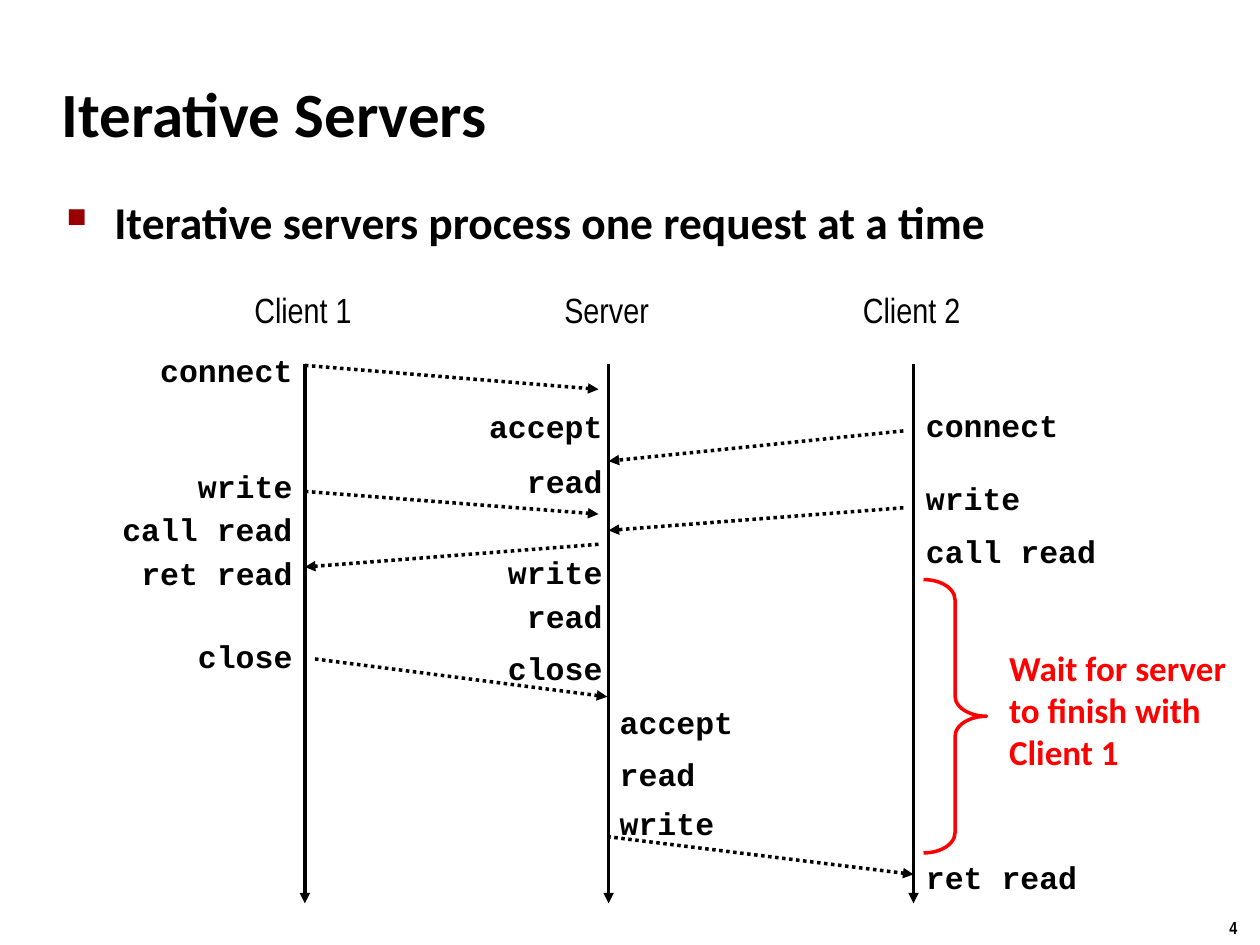
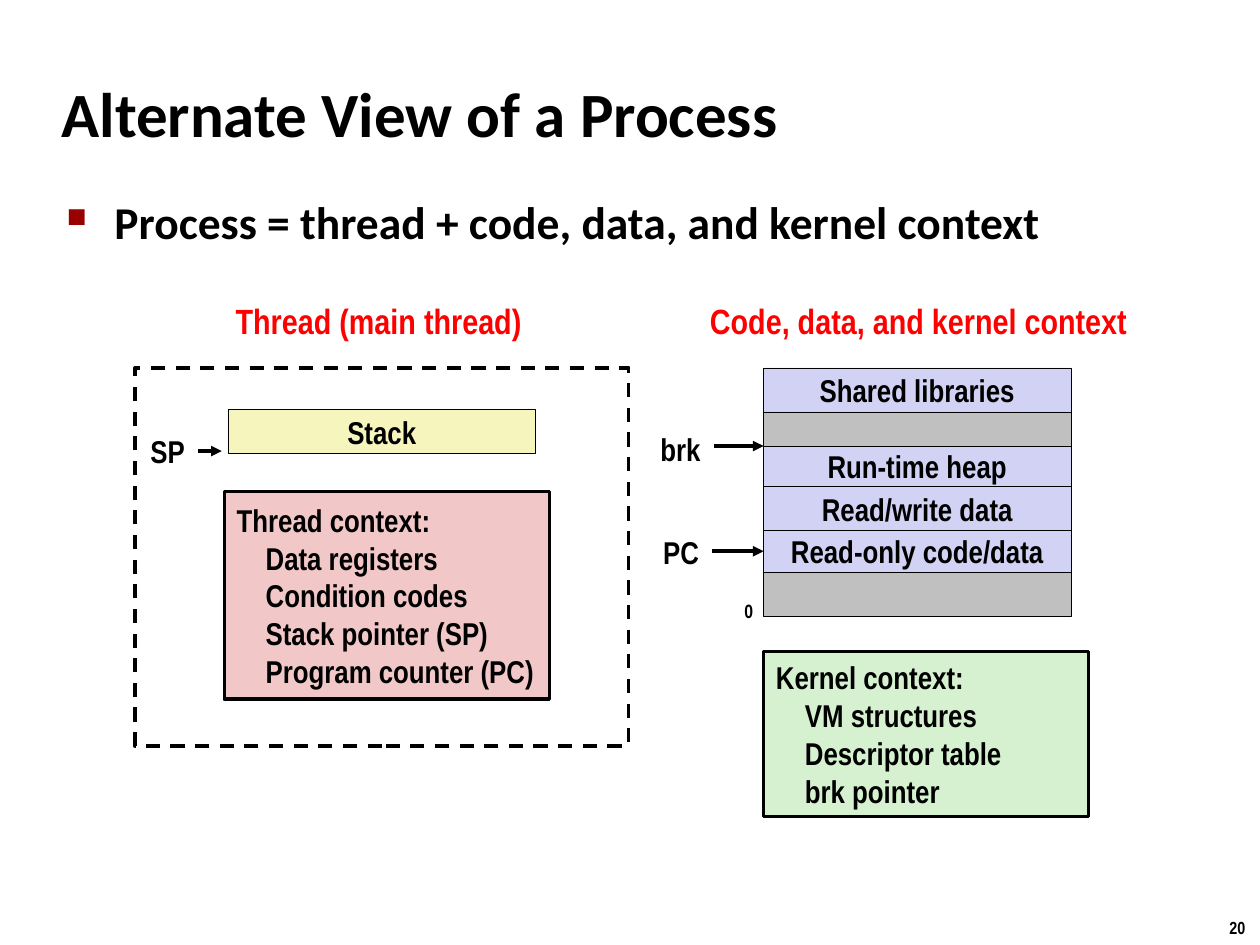
"""Builds two slides: an iterative server timeline and an alternate view of a process."""
import pptx
import pptx.util
import pptx.dml.color
import pptx.enum.dml
import pptx.enum.shapes
import pptx.enum.text
import pptx.oxml.ns
from lxml import etree

Inches, Pt = pptx.util.Inches, pptx.util.Pt
RGB = pptx.dml.color.RGBColor
SHAPE = pptx.enum.shapes.MSO_SHAPE
DASH = pptx.enum.dml.MSO_LINE
ANCHOR = pptx.enum.text.MSO_ANCHOR
ALIGN = pptx.enum.text.PP_ALIGN
AUTO = pptx.enum.text.MSO_AUTO_SIZE
qn = pptx.oxml.ns.qn

BLACK, RED = RGB(0, 0, 0), RGB(0xFF, 0, 0)
LAVENDER, GRAY = RGB(0xD2, 0xD2, 0xF4), RGB(0xC0, 0xC0, 0xC0)
YELLOW, PINK, GREEN = RGB(0xF6, 0xF5, 0xBD), RGB(0xF1, 0xC7, 0xC7), RGB(0xD5, 0xF1, 0xCF)
BULLET_HEX = "990000"
HEAD, NARROW, MONO = "Calibri", "Arial Narrow", "Courier New"

SERVERS = dict(title="Iterative Servers", number="4",
               bullet="Iterative servers process one request at a time")
PROCESS = dict(title="Alternate View of a Process", number="20",
               bullet="Process = thread + code, data, and kernel context")

LANES = [("Client 1", 2.42, 0.98), ("Server", 4.83, 0.88), ("Client 2", 7.25, 0.98)]
LANE_TOP, LANE_BOTTOM = 2.89, 7.17
CALLS_ENDING_AT = {
    2.42: [("connect", 2.74), ("write", 3.66), ("call read", 4), ("ret read", 4.35),
           ("close", 5.01)],
    4.88: [("accept", 3.18), ("read", 3.62), ("write", 4.34), ("read", 4.69), ("close", 5.1)],
}
CALLS_STARTING_AT = {
    4.82: [("accept", 5.53), ("read", 5.94), ("write", 6.33)],
    7.25: [("connect", 3.17), ("write", 3.75), ("call read", 4.17), ("ret read", 6.76)],
}
MESSAGES = [
    (2.42, 2.9, 4.75, 3.09), (7.17, 3.42, 4.83, 3.66), (2.42, 3.9, 4.75, 4.08),
    (7.17, 4.03, 4.83, 4.21), (4.75, 4.32, 2.42, 4.5), (2.5, 5.23, 4.82, 5.53),
    (4.82, 6.64, 7.25, 6.94),
]

MEMORY_LEFT, MEMORY_TOP, MEMORY_WIDTH = 6.06, 2.92, 2.44
MEMORY = [
    ("Shared libraries", 0.35, LAVENDER), ("", 0.27, GRAY), ("Run-time heap", 0.32, LAVENDER),
    ("Read/write data", 0.35, LAVENDER), ("Read-only code/data", 0.33, LAVENDER),
    ("", 0.35, GRAY),
]
THREAD_CONTEXT = ["Thread context:", "Data registers", "Condition codes",
                  "Stack pointer (SP)", "Program counter (PC)"]
KERNEL_CONTEXT = ["Kernel context:", "VM structures", "Descriptor table", "brk pointer"]
HEADINGS = [("Thread (main thread)", 1.76, 2.49), ("Code, data, and kernel context", 5.49, 3.6)]
POINTERS = [("SP", 1.09, 3.38, 0.48), ("PC", 5.16, 4.18, 0.49), ("brk", 5.14, 3.36, 0.52)]


def write(sp, lines, size, font, color=BLACK, bold=True, align=ALIGN.LEFT,
          anchor=ANCHOR.TOP, wrap=False, grow=False, indent=0):
    tf = sp.text_frame
    tf.text = "\n".join(lines)
    tf.word_wrap, tf.vertical_anchor = wrap, anchor
    tf.auto_size = AUTO.SHAPE_TO_FIT_TEXT if grow else AUTO.NONE
    for i, p in enumerate(tf.paragraphs):
        p.alignment = align
        if i and indent:
            p._p.get_or_add_pPr().set("marL", str(Inches(indent)))
        for r in p.runs:
            r.font.size, r.font.name, r.font.bold = Pt(size), font, bold
            r.font.color.rgb = color


def add_text(s, text, x, y, w, h, size, font, **style):
    sp = s.shapes.add_textbox(Inches(x), Inches(y), Inches(w), Inches(h))
    write(sp, [text], size, font, **style)
    return sp


def add_box(s, x, y, w, h, fill=None, width=0.25, kind=SHAPE.RECTANGLE, line=BLACK):
    sp = s.shapes.add_shape(kind, Inches(x), Inches(y), Inches(w), Inches(h))
    sp.shadow.inherit = False
    if fill is None:
        sp.fill.background()
    else:
        sp.fill.solid()
        sp.fill.fore_color.rgb = fill
    sp.line.color.rgb, sp.line.width = line, Pt(width)
    return sp


def add_arrow(s, x1, y1, x2, y2, dash=None):
    c = s.shapes.add_connector(pptx.enum.shapes.MSO_CONNECTOR.STRAIGHT,
                               Inches(x1), Inches(y1), Inches(x2), Inches(y2))
    c.line.color.rgb, c.line.width = BLACK, Pt(2)
    if dash:
        c.line.dash_style = dash
    etree.SubElement(c.line._get_or_add_ln(), qn("a:tailEnd"), type="triangle")
    etree.SubElement(c._element.spPr, qn("a:effectLst"))
    return c


def add_slide(prs, title, bullet, number):
    s = prs.slides.add_slide(prs.slide_layouts[6])
    add_text(s, number, 9.66, 7.23, 0.34, 0.27, 10, NARROW, grow=True)
    add_text(s, title, 0.39, 0.48, 8.3, 0.83, 36, HEAD, anchor=ANCHOR.MIDDLE, wrap=True)
    sp = add_text(s, bullet, 0.43, 1.49, 8.64, 5.44, 26, HEAD, wrap=True)
    pPr = sp.text_frame.paragraphs[0]._p.get_or_add_pPr()
    pPr.set("marL", str(Inches(0.38)))
    pPr.set("indent", str(-Inches(0.38)))
    color = etree.SubElement(pPr, qn("a:buClr"))
    etree.SubElement(color, qn("a:srgbClr"), val=BULLET_HEX)
    etree.SubElement(pPr, qn("a:buSzPct"), val="60000")
    etree.SubElement(pPr, qn("a:buChar"), char="■")
    return s


def add_call(s, text, y, left=None, right=None):
    w = 0.21 + 0.15 * len(text)
    x = right - w if left is None else left
    align = ALIGN.RIGHT if left is None else ALIGN.LEFT
    add_text(s, text, x, y, w, 0.4, 18, MONO, align=align, grow=True)


def build_servers(prs):
    s = add_slide(prs, **SERVERS)
    for name, x, w in LANES:
        add_text(s, name, x - w / 2 - 0.01, 2.24, w, 0.44, 20, NARROW, bold=False, grow=True)
        add_arrow(s, x, LANE_TOP, x, LANE_BOTTOM)
    for message in MESSAGES:
        add_arrow(s, *message, dash=DASH.ROUND_DOT)
    for right, calls in CALLS_ENDING_AT.items():
        for text, y in calls:
            add_call(s, text, y, right=right)
    for left, calls in CALLS_STARTING_AT.items():
        for text, y in calls:
            add_call(s, text, y, left=left)
    brace = add_box(s, 7.33, 4.6, 0.5, 2.17, width=2, kind=SHAPE.RIGHT_BRACE, line=RED)
    brace.adjustments[0] = 0.32
    add_text(s, "Wait for server to finish with Client 1", 7.91, 5.08, 2.09, 1.11, 20, HEAD,
             color=RED, wrap=True, grow=True)


def build_process(prs):
    s = add_slide(prs, **PROCESS)
    centred = dict(align=ALIGN.CENTER, anchor=ANCHOR.MIDDLE)
    for text, x, w in HEADINGS:
        add_text(s, text, x, 2.32, w, 0.44, 20, NARROW, color=RED, grow=True, **centred)

    add_box(s, 1.07, 2.92, 3.92, 3, width=2).line.dash_style = DASH.DASH
    stack = add_box(s, 1.81, 3.25, 2.44, 0.35, YELLOW)
    write(stack, ["Stack"], 18, NARROW, **centred)
    for lines, x, y, h, fill in [(THREAD_CONTEXT, 1.78, 3.9, 1.65, PINK),
                                 (KERNEL_CONTEXT, 6.06, 5.17, 1.31, GREEN)]:
        context = add_box(s, x, y, 2.58, h, fill, width=2)
        write(context, lines, 18, NARROW, anchor=ANCHOR.MIDDLE, indent=0.23)

    segments, y = {}, MEMORY_TOP
    for text, h, fill in MEMORY:
        sp = add_box(s, MEMORY_LEFT, y, MEMORY_WIDTH, h, fill)
        if text:
            write(sp, [text], 18, NARROW, **centred)
            segments[text] = sp
        y += h
    add_text(s, "0", 5.81, 4.71, 0.27, 0.29, 11, NARROW, grow=True)

    for text, x, y, w in POINTERS:
        add_text(s, text, x, y, w, 0.4, 18, NARROW, grow=True, **centred)
    add_arrow(s, 1.57, 3.58, 1.76, 3.58)
    add_arrow(s, 5.67, 3.54, MEMORY_LEFT, 3.54)
    code = segments["Read-only code/data"]
    code_middle = (code.top + code.height / 2) / Inches(1)
    pc = add_arrow(s, 5.65, code_middle, MEMORY_LEFT, code_middle)
    pc.end_connect(code, 1)


def main():
    prs = pptx.Presentation()
    prs.slide_width, prs.slide_height = Inches(10), Inches(7.5)
    build_servers(prs)
    build_process(prs)
    prs.save("out.pptx")


if __name__ == "__main__":
    main()
